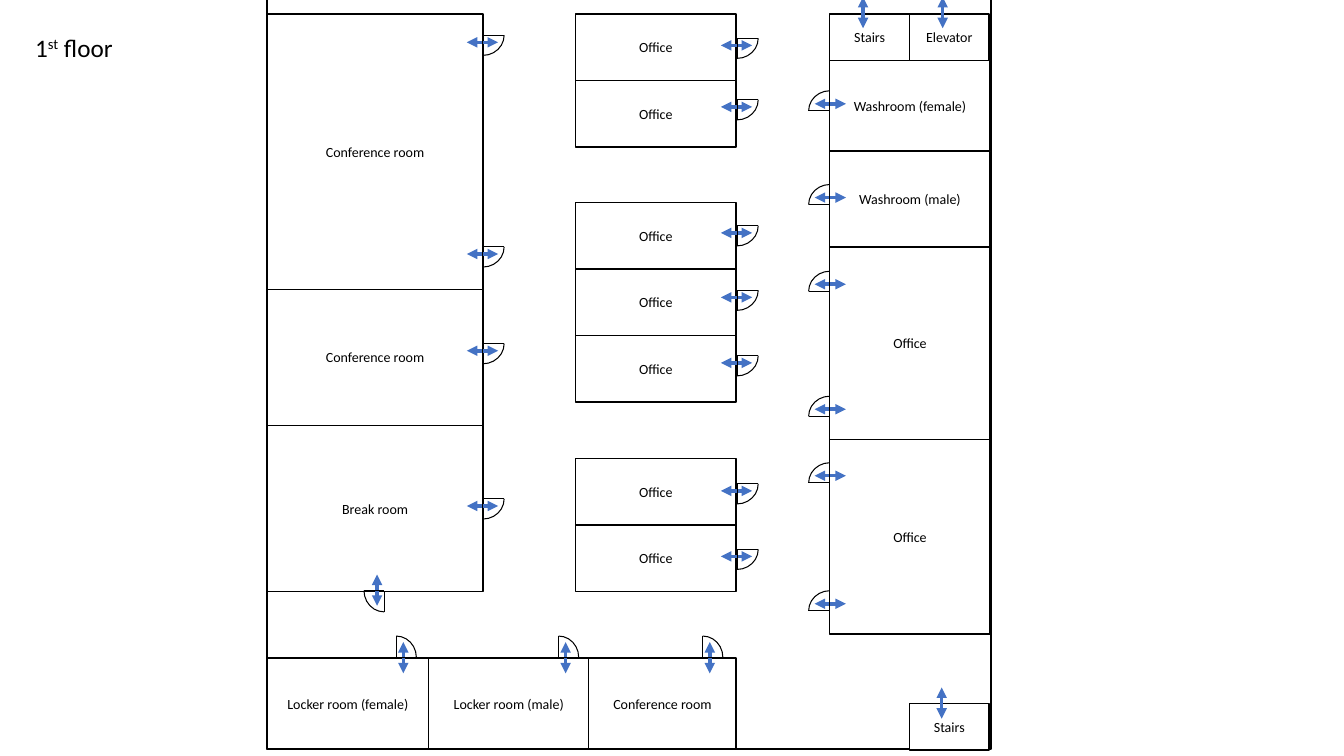
from lxml.etree import SubElement
from pptx import Presentation
from pptx.dml.color import RGBColor
from pptx.enum.shapes import MSO_CONNECTOR as Conn, MSO_SHAPE as Shape
from pptx.enum.text import MSO_ANCHOR as Anchor, MSO_AUTO_SIZE as Fit, PP_ALIGN as Align
from pptx.oxml.ns import qn
from pptx.util import Inches, Pt

BLACK, WHITE, BLUE = "000000", "FFFFFF", "4472C4"


def color(code):
    return RGBColor.from_string(code)


def turn(x, y, angle):
    """Rotate an offset clockwise in quarter turns."""
    for _ in range(angle // 90):
        x, y = -y, x
    return x, y


class Plan:
    font = "Calibri"
    radius = 0.2, 0.21  # door arc, across and along

    def __init__(self, slide):
        self.shapes = slide.shapes

    def style(self, run, size):
        run.font.name = self.font
        run.font.size = Pt(size)
        run.font.color.rgb = color(BLACK)

    def room(self, x, y, w, h, name="", width=1):
        box = self.shapes.add_shape(Shape.RECTANGLE, *map(Inches, (x, y, w, h)))
        box.shadow.inherit = False
        box.fill.solid()
        box.fill.fore_color.rgb = color(WHITE)
        box.line.color.rgb = color(BLACK)
        box.line.width = Pt(width)
        if name:
            frame = box.text_frame
            frame.text = name
            frame.vertical_anchor = Anchor.MIDDLE
            frame.paragraphs[0].alignment = Align.CENTER
            self.style(frame.paragraphs[0].runs[0], 10)

    def line(self, shapes, start, end, code=BLACK, width=0.75):
        line = shapes.add_connector(Conn.STRAIGHT, *map(Inches, (*start, *end)))
        line.line.color.rgb = color(code)
        line.line.width = Pt(width)
        SubElement(line._element.spPr, qn("a:effectLst"))
        return line

    def arrow(self, start, end):
        line = self.line(self.shapes, start, end, BLUE, 2.5)
        ln = line.line._get_or_add_ln()
        for tag in ("a:headEnd", "a:tailEnd"):
            SubElement(ln, qn(tag), type="triangle")

    def door(self, x, y, angle):
        """Door hinged at x, y; at angle 0 it opens upwards."""
        def spot(dx, dy):
            dx, dy = turn(dx, dy, angle)
            return x + dx, y + dy

        rx, ry = self.radius
        self.arrow(spot(0.07, 0.16), spot(0.07, -0.15))
        group = self.shapes.add_group_shape().shapes
        arc = group.add_shape(Shape.ARC, *map(Inches, (x - rx, y - ry, 2 * rx, 2 * ry)))
        arc.rotation = angle
        arc.shadow.inherit = False
        arc.fill.background()
        arc.line.color.rgb = color(BLACK)
        arc.line.width = Pt(0.75)
        self.line(group, spot(0, -ry), (x, y))
        self.line(group, spot(rx, 0), (x, y))

    def title(self, x, y, w, h, parts):
        box = self.shapes.add_textbox(*map(Inches, (x, y, w, h)))
        frame = box.text_frame
        frame.word_wrap = True
        frame.auto_size = Fit.SHAPE_TO_FIT_TEXT
        for text, raised in parts:
            run = frame.paragraphs[0].add_run()
            run.text = text
            self.style(run, 18)
            if raised:
                run.font._element.set("baseline", "30000")


# Columns: left, top, width, then name and height of each room
COLS = [
    (2.65, 0.14, 2.14, [("Conference room", 2.73), ("Conference room", 1.35),
                        ("Break room", 1.65)]),
    (5.71, 0.14, 1.59, [("Office", 0.66)] * 2),
    (5.71, 2.01, 1.59, [("Office", 0.66)] * 3),
    (5.71, 4.55, 1.59, [("Office", 0.66)] * 2),
    (8.23, 0.6, 1.59, [("Washroom (female)", 0.9), ("Washroom (male)", 0.95),
                       ("Office", 1.91), ("Office", 1.93)]),
]
# Rows: left, top, height, then name and width of each room
ROWS = [
    (8.23, 0.14, 0.46, [("Stairs", 0.79), ("Elevator", 0.79)]),
    (2.65, 6.53, 0.9, [("Locker room (female)", 1.6), ("Locker room (male)", 1.59),
                       ("Conference room", 1.46)]),
    (9.02, 6.98, 0.46, [("Stairs", 0.79)]),
]
# Doors: angle, then hinge points
DOORS = [
    (90, [(7.31, y) for y in (0.38, 0.99, 2.24, 2.88, 3.53, 4.8, 5.45)]),
    (90, [(4.79, y) for y in (0.35, 2.45, 3.41, 4.95)]),
    (270, [(8.23, y) for y in (1.1, 2.03, 2.89, 4.13, 4.79, 6.06)]),
    (0, [(x, 6.52) for x in (3.93, 5.54, 6.97)]),
    (180, [(3.81, 5.86)]),
]


def main():
    deck = Presentation()
    deck.slide_width, deck.slide_height = Inches(13.33), Inches(7.5)
    plan = Plan(deck.slides.add_slide(deck.slide_layouts[6]))

    # Outer walls
    plan.room(2.65, -0.41, 7.18, 7.84, width=1.5)

    # Rooms
    for x, y, w, rooms in COLS:
        for name, h in rooms:
            plan.room(x, y, w, h, name)
            y += h
    for x, y, h, rooms in ROWS:
        for name, w in rooms:
            plan.room(x, y, w, h, name)
            x += w

    # Doors, then the open ways to stairs and elevator
    for angle, spots in DOORS:
        for x, y in spots:
            plan.door(x, y, angle)
    for x, y in ((8.56, 0.28), (9.35, 0.28), (9.34, 7.13)):
        plan.arrow((x, y), (x, y - 0.31))

    # Title
    plan.title(0.25, 0.27, 1.27, 0.4, [("1", False), ("st", True), (" floor", False)])

    deck.save("out.pptx")


if __name__ == "__main__":
    main()
